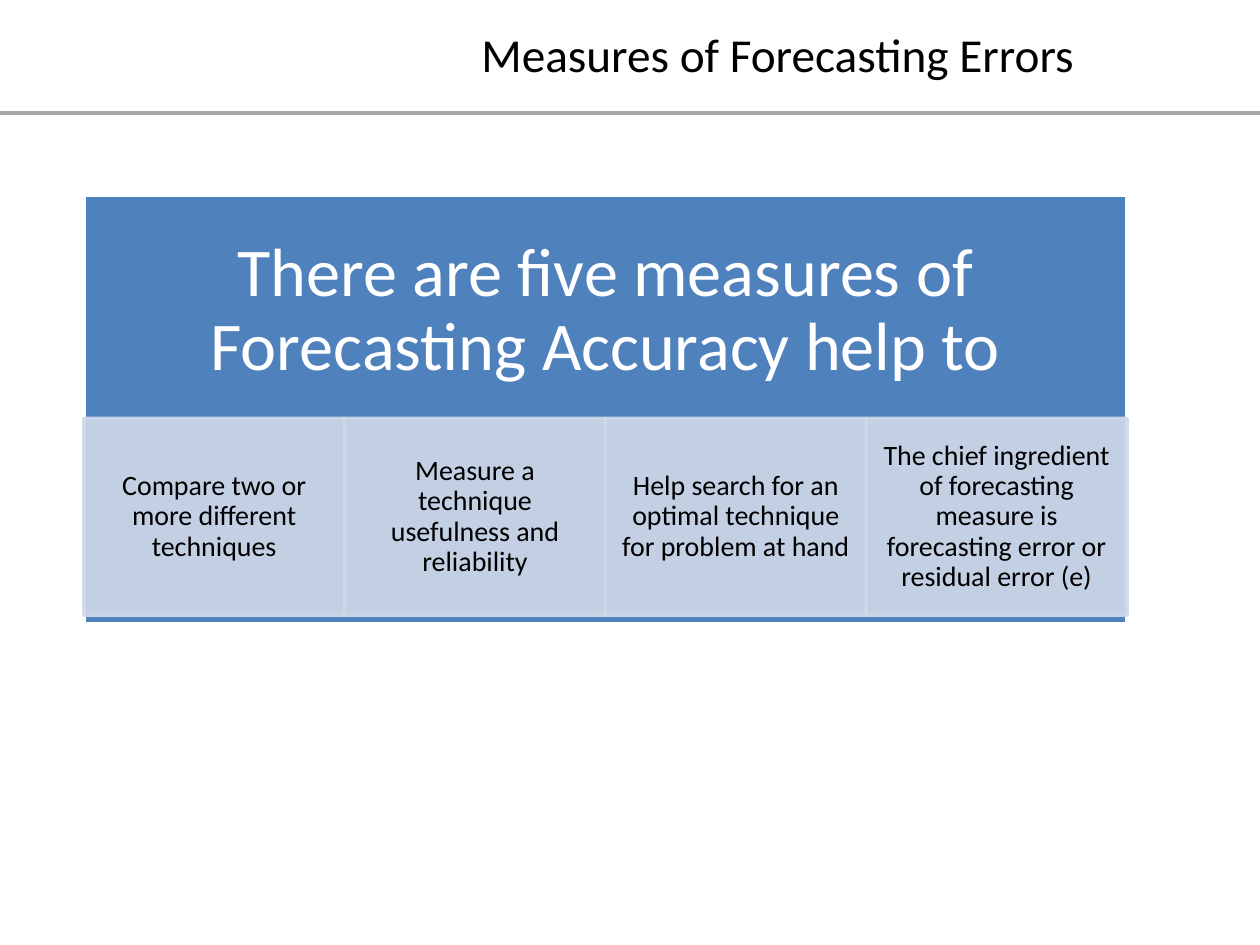
from pptx import Presentation
from pptx import util as u
from pptx.dml import color
from pptx.enum import shapes, text
from pptx.oxml import ns
from lxml import etree


def rgb(value):
    """Return the colour for a hex string."""
    return color.RGBColor.from_string(value)


def set_alpha(fill, percent):
    """Make the solid colours below an XML element partly transparent."""
    for clr in fill.iter(ns.qn("a:srgbClr")):
        etree.SubElement(clr, ns.qn("a:alpha")).set("val", str(percent * 1000))


def write(sp, words, size, hue, inset_x, inset_y):
    """Put centred, middle-anchored text into a shape."""
    tf = sp.text_frame
    tf.text = words
    tf.word_wrap = True
    tf.auto_size = text.MSO_AUTO_SIZE.NONE
    tf.vertical_anchor = text.MSO_ANCHOR.MIDDLE
    tf.margin_left = tf.margin_right = u.Cm(inset_x)
    tf.margin_top = tf.margin_bottom = u.Cm(inset_y)
    p = tf.paragraphs[0]
    p.alignment = text.PP_ALIGN.CENTER
    p.line_spacing = 0.9
    f = p.runs[0].font
    f.name, f.size, f.color.rgb = "Calibri", u.Pt(size), rgb(hue)


def add_rect(s, x, y, w, h, fill, line):
    """Add a flat rectangle with a 2 pt outline."""
    sp = s.shapes.add_shape(shapes.MSO_SHAPE.RECTANGLE, u.Cm(x), u.Cm(y), u.Cm(w), u.Cm(h))
    sp.shadow.inherit = False
    sp.fill.solid()
    sp.fill.fore_color.rgb = rgb(fill)
    sp.line.color.rgb = rgb(line)
    sp.line.width = u.Pt(2)
    return sp


def add_header(s, x, y, w, h, title):
    """Place the title and the rule that crosses the slide below it."""
    rule = s.shapes.add_connector(
        shapes.MSO_CONNECTOR.STRAIGHT, 0, u.Cm(2.28), u.Cm(25.48), u.Cm(2.28))
    rule.line.color.rgb = rgb("A6A6A6")
    rule.line.width = u.Pt(2)
    etree.SubElement(rule._element.spPr, ns.qn("a:effectLst"))
    sp = s.shapes.title
    sp.left, sp.top, sp.width, sp.height = u.Cm(x), u.Cm(y), u.Cm(w), u.Cm(h)
    write(sp, title, 27, "000000", 0.25, 0.13)
    sp.text_frame.paragraphs[0].line_spacing = 1.0


def add_panel(s, x, y, w, h, heading, items):
    """Place a heading panel with a row of equal cells near its foot."""
    add_rect(s, x, y, w, h, "4F81BD", "FFFFFF")
    box = s.shapes.add_textbox(u.Cm(x), u.Cm(y), u.Cm(w), u.Cm(0.54 * h))
    write(box, heading, 39, "FFFFFF", 0.76, 0.76)
    cell_w = w / len(items)
    for i, item in enumerate(items):
        sp = add_rect(s, x + i * cell_w, y + 0.52 * h, cell_w, 0.46 * h, "D0D8E8", "D0D8E8")
        set_alpha(sp._element.spPr, 90)
        write(sp, item, 16, "000000", 0.3, 0.05)


def main():
    """Build and save the slide."""
    prs = Presentation()
    prs.slide_width, prs.slide_height = u.Cm(25.4), u.Cm(19.05)
    s = prs.slides.add_slide(prs.slide_layouts[5])
    add_header(s, 5.97, -0.46, 19.41, 3.07, "Measures of Forecasting Errors")
    add_panel(s, 1.69, 3.94, 21.03, 8.64,
              "There are five measures of Forecasting Accuracy help to",
              ["Compare two or more different techniques",
               "Measure a technique usefulness and reliability",
               "Help search for an optimal technique for problem at hand",
               "The chief ingredient of forecasting measure is "
               "forecasting error or residual error (e)"])
    prs.save("out.pptx")


if __name__ == "__main__":
    main()
